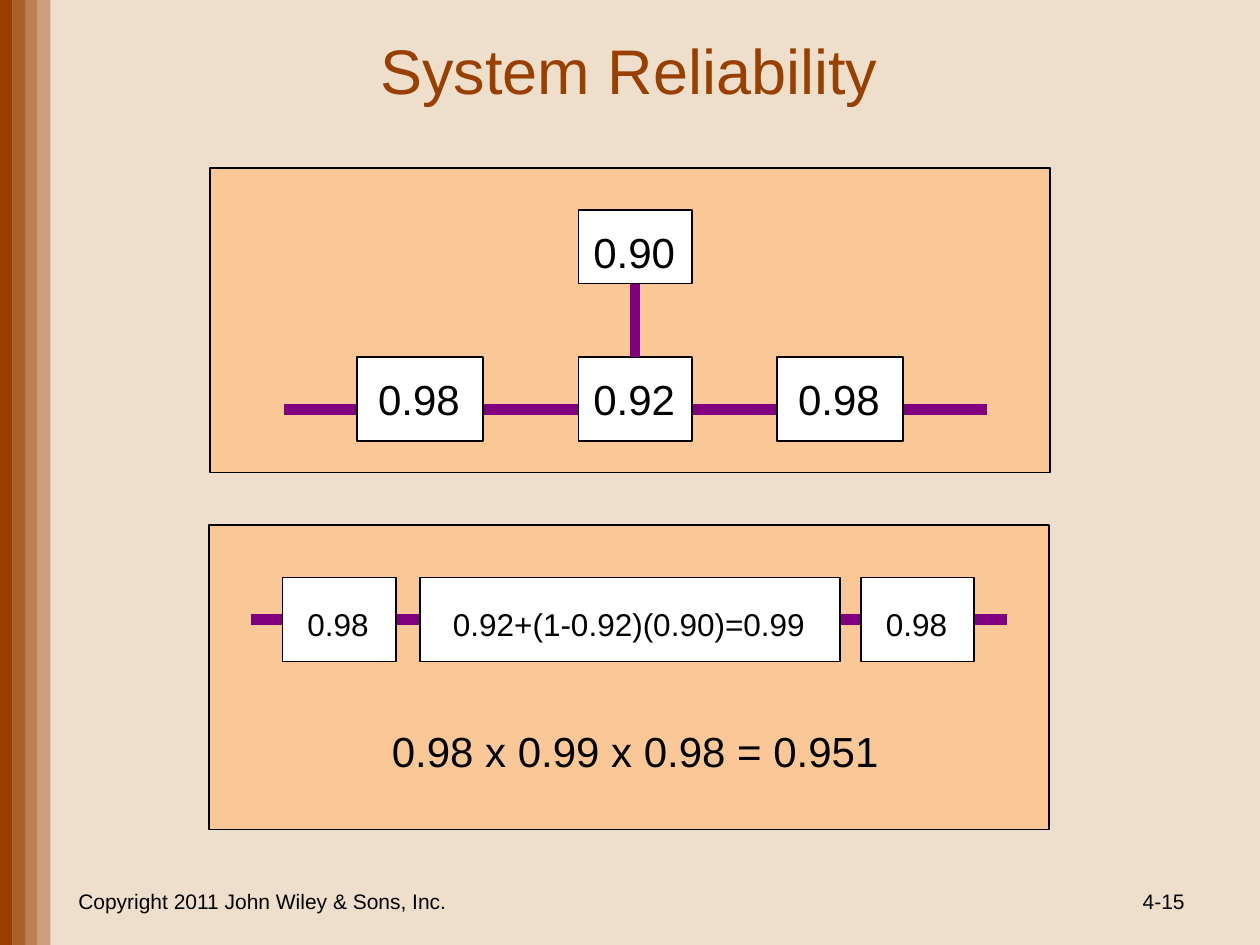
"""Build the System Reliability slide: a redundant system and its reduced series form."""
from lxml import etree
from pptx import Presentation
from pptx.dml.color import RGBColor
from pptx.enum.shapes import MSO_CONNECTOR, MSO_SHAPE
from pptx.enum.text import MSO_ANCHOR, MSO_AUTO_SIZE, PP_ALIGN
from pptx.oxml.ns import qn
from pptx.util import Inches, Pt

RECT = MSO_SHAPE.RECTANGLE
STRAIGHT = MSO_CONNECTOR.STRAIGHT
MIDDLE, TOP = MSO_ANCHOR.MIDDLE, MSO_ANCHOR.TOP
LEFT, CENTER, RIGHT = PP_ALIGN.LEFT, PP_ALIGN.CENTER, PP_ALIGN.RIGHT

BROWN = RGBColor(0x99, 0x40, 0x00)
BEIGE = RGBColor(0xEE, 0xDF, 0xCC)
PEACH = RGBColor(0xFA, 0xC8, 0x96)
PURPLE = RGBColor(0x80, 0x00, 0x80)
BLACK = RGBColor(0x00, 0x00, 0x00)
WHITE = RGBColor(0xFF, 0xFF, 0xFF)

prs = Presentation()
prs.slide_width, prs.slide_height = Inches(10), Inches(7.5)
COL = prs.slide_width // 120
ROW = prs.slide_height // 90

s = prs.slides.add_slide(prs.slide_layouts[5])
s.background.fill.solid()
s.background.fill.fore_color.rgb = BEIGE


def add_rect(x, y, w, h, fill, line_width=None):
    sp = s.shapes.add_shape(RECT, round(x * COL), round(y * ROW), round(w * COL), round(h * ROW))
    sp.shadow.inherit = False
    sp.fill.solid()
    sp.fill.fore_color.rgb = fill
    if line_width:
        sp.line.color.rgb = BLACK
        sp.line.width = Pt(line_width)
    else:
        sp.line.fill.background()
    return sp


def write(sp, text, size, color=BLACK, align=CENTER, anchor=MIDDLE):
    tf = sp.text_frame
    tf.word_wrap = True
    tf.vertical_anchor = anchor
    p = tf.paragraphs[0]
    p.alignment = align
    r = p.add_run()
    r.text = text
    r.font.name, r.font.size = "Arial", Pt(size)
    r.font.color.rgb = color


for i, opacity in enumerate((100, 80, 60, 40)):
    bar = add_rect(i * 1.2, 0, 1.2, 90, BROWN)
    if opacity < 100:
        clr = bar.fill._xPr.find(qn("a:solidFill"))[0]
        etree.SubElement(clr, qn("a:alpha")).set("val", str(opacity * 1000))

title = s.shapes.title
title.left, title.top = round(4.4 * COL), round(1.4 * ROW)
title.width, title.height = 111 * COL, round(10.4 * ROW)
write(title, "System Reliability", 36, BROWN)

add_rect(20, 16, 80, 29, PEACH, 0.75)
add_rect(19.9, 50, 80, 29, PEACH, 0.75)

links = []
for x1, x2, y in ((27, 94, 39), (23.9, 95.9, 59)):
    links.append(s.shapes.add_connector(
        STRAIGHT, round(x1 * COL), y * ROW, round(x2 * COL), y * ROW))

boxes = {}
for name, x, y, w, h, text, size, label_y, label_h in (
    ("backup", 55.1, 20, 10.8, 7, "0.90", 24, 21, 6),
    ("main", 55.1, 34, 10.8, 8, "0.92", 24, 35, 6),
    ("first", 34, 34, 12, 8, "0.98", 24, 35, 6),
    ("last", 74, 34, 12, 8, "0.98", 24, 35, 6),
    ("reduced first", 26.9, 55, 10.8, 8, "0.98", 18, 57, 4.8),
    ("reduced middle", 40, 55, 40, 8, "0.92+(1-0.92)(0.90)=0.99", 18, 57, 4.8),
    ("reduced last", 82, 55, 10.8, 8, "0.98", 18, 57, 4.8),
):
    boxes[name] = add_rect(x, y, w, h, WHITE, 1)
    label = s.shapes.add_textbox(
        round(x * COL), label_y * ROW, round((w - 0.2) * COL), round(label_h * ROW))
    write(label, text, size, anchor=TOP)
    label.text_frame.auto_size = MSO_AUTO_SIZE.SHAPE_TO_FIT_TEXT

backup_link = s.shapes.add_connector(STRAIGHT, 0, 0, 0, 0)
backup_link.begin_connect(boxes["main"], 0)
backup_link.end_connect(boxes["backup"], 2)
links.append(backup_link)
for link in links:
    link.line.color.rgb = PURPLE
    link.line.width = Pt(6)
    etree.SubElement(link._element.spPr, qn("a:effectLst"))

for x, y, w, h, text, size, align in (
    (32, 69, 57, 5, "0.98 x 0.99 x 0.98 = 0.951", 24, CENTER),
    (6, 83.4, 38, 4.8, "Copyright 2011 John Wiley & Sons, Inc.", 12, CENTER),
    (86, 83.4, 28, 4.8, "4-15", 12, RIGHT),
):
    tb = s.shapes.add_textbox(x * COL, round(y * ROW), w * COL, round(h * ROW))
    write(tb, text, size, align=align)

prs.save("out.pptx")
